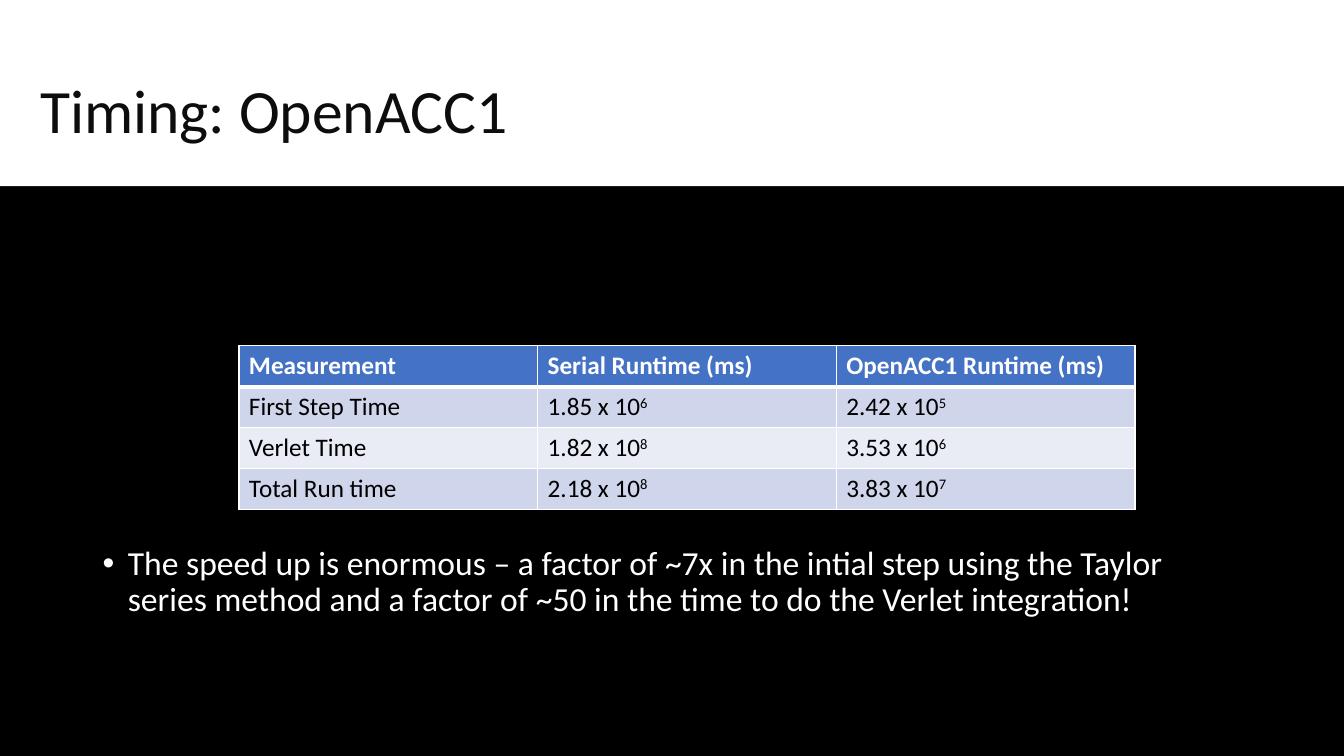
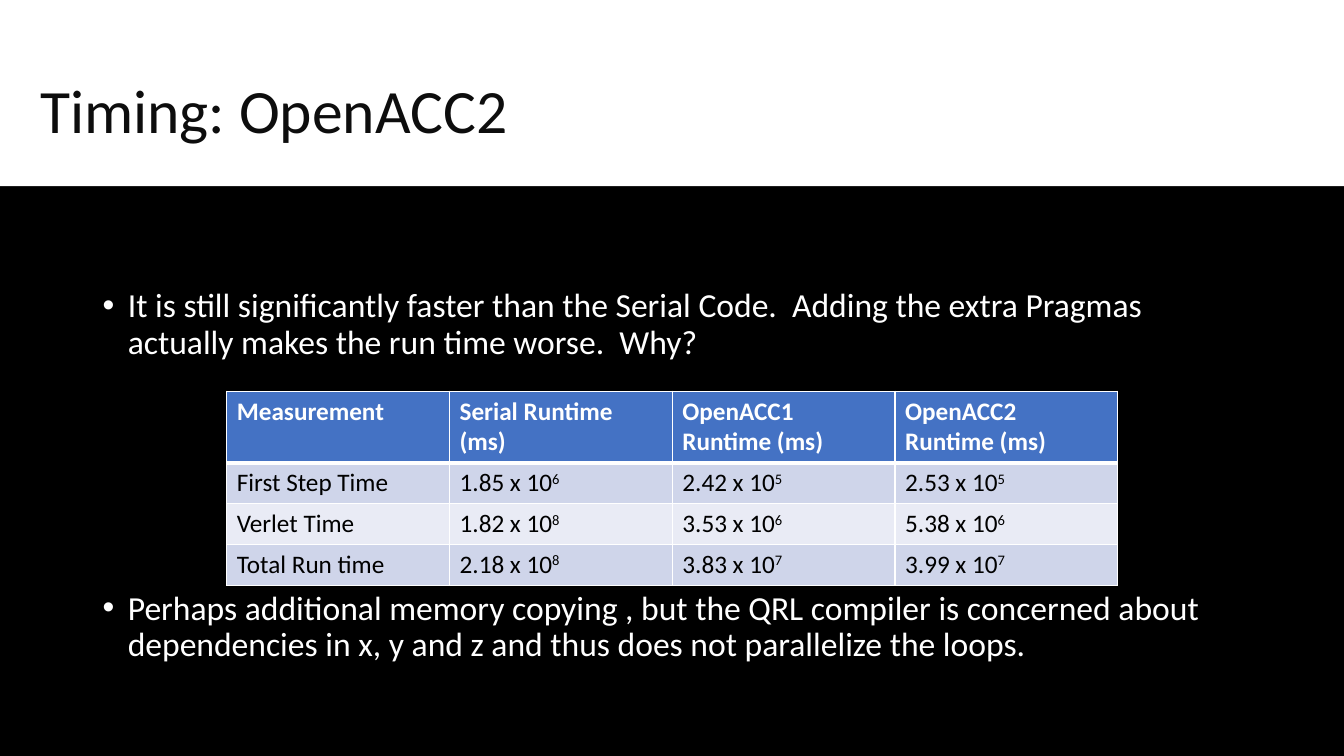
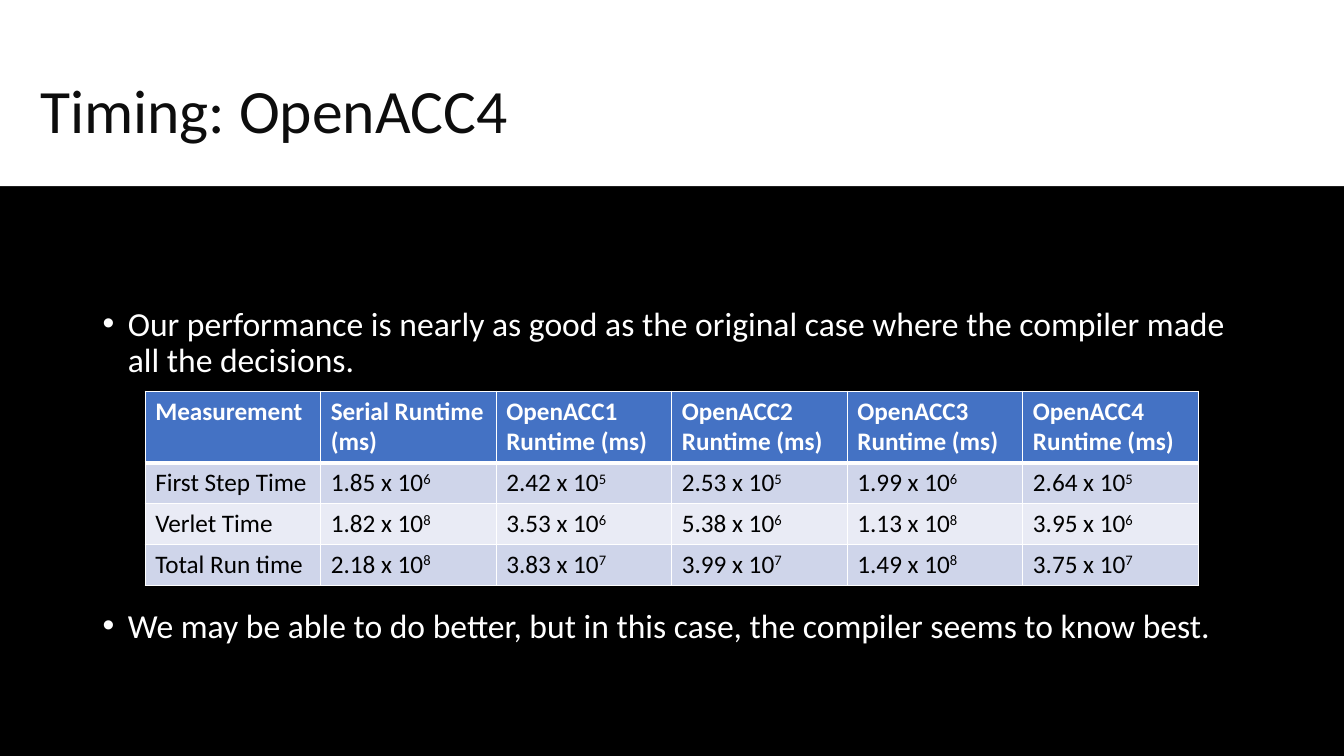
"""Build the three OpenACC timing slides on a grid of tenth-inch cells."""

import dataclasses
import typing

import pptx
import pptx.dml.color
import pptx.enum.shapes
import pptx.enum.text
import pptx.oxml
import pptx.oxml.ns
import pptx.util

COLUMNS, ROWS = 133.33, 75
BAND_ROWS = 18.5
BODY_ROW = 19.5
TABLE_ROW, HEADER_ROW_TALL = 4.06, 7.1
FONT = "Calibri"
WHITE, BLACK, TITLE_INK = "FFFFFF", "000000", "0D0D0D"
HEADER_FILL, BAND_FILLS = "4472C4", ("CFD5EA", "E9EBF5")
TABLE_GAP_POINTS = 152

MEASUREMENTS = ("First Step Time", "Verlet Time", "Total Run time")
RUNTIMES = {
    "Serial": ("1.85^6", "1.82^8", "2.18^8"),
    "OpenACC1": ("2.42^5", "3.53^6", "3.83^7"),
    "OpenACC2": ("2.53^5", "5.38^6", "3.99^7"),
    "OpenACC3": ("1.99^6", "1.13^8", "1.49^8"),
    "OpenACC4": ("2.64^5", "3.95^6", "3.75^7"),
}


class Area(typing.NamedTuple):
    """Left, top, width and height in grid cells."""

    left: float
    top: float
    width: float
    height: float


@dataclasses.dataclass(frozen=True)
class TimingSlide:
    """What differs between the timing slides."""

    title: str
    bullets: tuple[str, ...]
    versions: int
    table_left: float
    table_top: float
    table_width: float
    header_height: float
    body_top: float = BODY_ROW


TIMING_SLIDES = (
    TimingSlide(
        "Timing: OpenACC1",
        ("The speed up is enormous – a factor of ~7x in the intial step using the Taylor "
         "series method and a factor of ~50 in the time to do the Verlet integration!",),
        2, 23.7, 34.3, 88.9, TABLE_ROW, body_top=40.6,
    ),
    TimingSlide(
        "Timing: OpenACC2",
        ("It is still significantly faster than the Serial Code.  Adding the extra Pragmas "
         "actually makes the run time worse.  Why?",
         "Perhaps additional memory copying , but the QRL compiler is concerned about "
         "dependencies in x, y and z and thus does not parallelize the loops."),
        3, 22.5, 38.8, 88.4, HEADER_ROW_TALL,
    ),
    TimingSlide(
        "Timing: OpenACC4",
        ("Our performance is nearly as good as the original case where the compiler made "
         "all the decisions.",
         "We may be able to do better, but in this case, the compiler seems to know best."),
        5, 14.4, 38.8, 104.5, HEADER_ROW_TALL,
    ),
)


def cells(count: float) -> int:
    """Convert grid cells to a length."""
    return pptx.util.Inches(count / 10)


def place(area: Area) -> tuple[int, ...]:
    """Convert an area to lengths."""
    return tuple(cells(side) for side in area)


def color(value: str) -> pptx.dml.color.RGBColor:
    """Convert a hex string to a colour."""
    return pptx.dml.color.RGBColor.from_string(value)


def set_font(paragraph: typing.Any, size: float, ink: str, bold: bool = False) -> None:
    """Set the font of a whole paragraph."""
    font = paragraph.font
    font.name, font.size, font.bold = FONT, pptx.util.Pt(size), bold
    font.color.rgb = color(ink)


def add_band(slide: typing.Any, area: Area, fill: str) -> None:
    """Draw a plain full-colour band."""
    shape = slide.shapes.add_shape(pptx.enum.shapes.MSO_SHAPE.RECTANGLE, *place(area))
    shape.shadow.inherit = False
    shape.fill.solid()
    shape.fill.fore_color.rgb = color(fill)
    shape.line.fill.background()


def add_text(slide: typing.Any, area: Area, lines: tuple[str, ...],
             size: float, ink: str) -> typing.Any:
    """Add vertically centred text and return its paragraphs."""
    frame = slide.shapes.add_textbox(*place(area)).text_frame
    frame.word_wrap = True
    frame.vertical_anchor = pptx.enum.text.MSO_ANCHOR.MIDDLE
    frame.text = "\n".join(lines)
    for paragraph in frame.paragraphs:
        paragraph.line_spacing = 0.9
        set_font(paragraph, size, ink)
    return frame.paragraphs


def add_bullets(slide: typing.Any, top: float, bullets: tuple[str, ...]) -> None:
    """Add bullets that leave room for the table between them."""
    area = Area(9.2, top, 115, ROWS - top)
    for index, paragraph in enumerate(add_text(slide, area, bullets, 24, WHITE)):
        paragraph.space_after = pptx.util.Pt(12)
        if index:
            paragraph.space_before = pptx.util.Pt(TABLE_GAP_POINTS)
        properties = paragraph._p.get_or_add_pPr()
        properties.set("marL", str(cells(2.5)))
        properties.set("indent", str(-cells(2.5)))
        namespace = pptx.oxml.ns.nsdecls("a")
        marks = (f'<a:buFont {namespace} typeface="Arial"/>', f'<a:buChar {namespace} char="•"/>')
        default_font = properties.find(pptx.oxml.ns.qn("a:defRPr"))
        for mark in marks:
            default_font.addprevious(pptx.oxml.parse_xml(mark))


def style_cell(cell: typing.Any, row: int, fill: str) -> None:
    """Give a cell white borders and a fill."""
    properties = cell._tc.get_or_add_tcPr()
    widths = {"L": 1, "R": 1, "T": 3 if row == 1 else 1, "B": 3 if row == 0 else 1}
    for side, points in widths.items():
        properties.append(pptx.oxml.parse_xml(
            f'<a:ln{side} {pptx.oxml.ns.nsdecls("a")} w="{pptx.util.Pt(points)}">'
            f'<a:solidFill><a:srgbClr val="{WHITE}"/></a:solidFill></a:ln{side}>'))
    cell.fill.solid()
    cell.fill.fore_color.rgb = color(fill)


def write_cell(cell: typing.Any, text: str, header: bool) -> None:
    """Write a label, or a number whose power of ten follows a caret."""
    paragraph = cell.text_frame.paragraphs[0]
    set_font(paragraph, 18, WHITE if header else BLACK, header)
    base, caret, exponent = text.partition("^")
    paragraph.add_run().text = f"{base} x 10" if caret else base
    if caret:
        run = paragraph.add_run()
        run.text = exponent
        run._r.get_or_add_rPr().set("baseline", "30000")


def add_runtime_table(slide: typing.Any, timing: TimingSlide) -> None:
    """Add the runtimes of the first versions as a table."""
    versions = list(RUNTIMES)[:timing.versions]
    header = ("Measurement", *(f"{version} Runtime (ms)" for version in versions))
    body = zip(MEASUREMENTS, *(RUNTIMES[version] for version in versions))
    rows = [header, *body]
    heights = [timing.header_height] + [TABLE_ROW] * len(MEASUREMENTS)
    area = Area(timing.table_left, timing.table_top, timing.table_width, sum(heights))
    table = slide.shapes.add_table(len(rows), len(header), *place(area)).table
    table.horz_banding = False
    for column in table.columns:
        column.width = cells(timing.table_width / len(header))
    for row, (texts, height) in enumerate(zip(rows, heights)):
        table.rows[row].height = cells(height)
        fill = BAND_FILLS[(row - 1) % 2] if row else HEADER_FILL
        for column, text in enumerate(texts):
            cell = table.cell(row, column)
            style_cell(cell, row, fill)
            write_cell(cell, text, row == 0)


def add_timing_slide(presentation: typing.Any, timing: TimingSlide) -> None:
    """Add one slide with bands, title, bullets and table."""
    slide = presentation.slides.add_slide(presentation.slide_layouts[6])
    add_band(slide, Area(0, 0, COLUMNS, BAND_ROWS), WHITE)
    add_band(slide, Area(0, BAND_ROWS, COLUMNS, ROWS - BAND_ROWS), BLACK)
    add_text(slide, Area(3, 4, COLUMNS - 3, BAND_ROWS - 4), (timing.title,), 44, TITLE_INK)
    add_bullets(slide, timing.body_top, timing.bullets)
    add_runtime_table(slide, timing)


def main() -> None:
    """Build and save the presentation."""
    presentation = pptx.Presentation()
    presentation.slide_width, presentation.slide_height = cells(COLUMNS), cells(ROWS)
    background = presentation.slide_master.background.fill
    background.solid()
    background.fore_color.rgb = color(BLACK)
    for timing in TIMING_SLIDES:
        add_timing_slide(presentation, timing)
    presentation.save("out.pptx")


if __name__ == "__main__":
    main()
